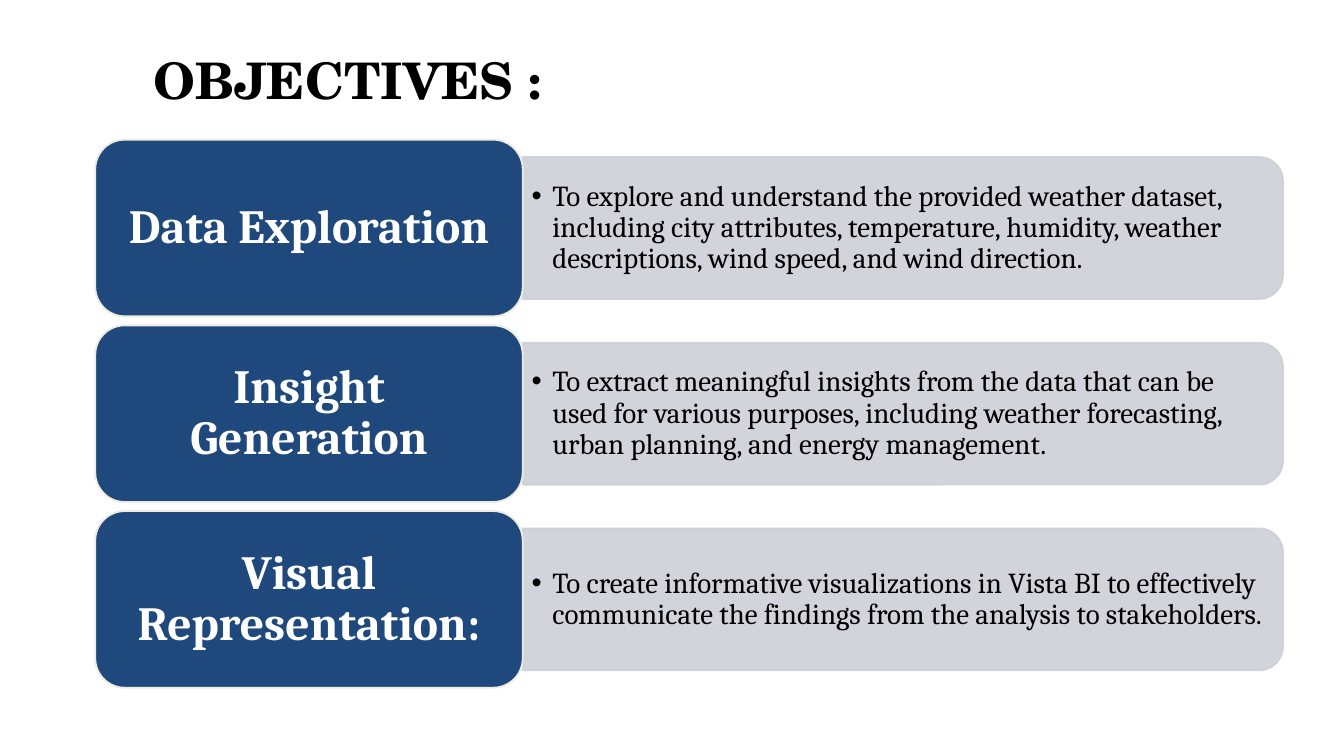
from dataclasses import dataclass

from lxml.etree import SubElement
from pptx import Presentation
from pptx.dml.color import RGBColor as RGB
from pptx.enum.shapes import MSO_SHAPE as Kind
from pptx.enum.text import MSO_ANCHOR as Anchor, MSO_AUTO_SIZE as Fit, PP_ALIGN as Align
from pptx.oxml.ns import qn
from pptx.util import Cm, Pt


@dataclass(frozen=True)
class Theme:
    """Colours, fonts and type sizes of the slide."""
    navy: RGB = RGB(0x1F, 0x49, 0x7D)
    cream: RGB = RGB(0xEE, 0xEC, 0xE1)
    grey: RGB = RGB(0xCD, 0xD0, 0xD7)
    white: RGB = RGB(0xFF, 0xFF, 0xFF)
    black: RGB = RGB(0, 0, 0)
    head: str = "TeX Gyre Schola"
    text: str = "Cambria"
    big: int = 54
    mid: int = 51
    small: int = 31


THEME = Theme()
LEFT, SPLIT, MID, PITCH = 3.6, 19.76, 8.62, 7.02
LABEL_H, PANEL_W, PANEL_H = 6.68, 28.73, 5.36
BODY_W, BODY_H = 28.45, 4.83
GOALS = (
    ("Data Exploration",
     "To explore and understand the provided weather dataset, including city attributes, "
     "temperature, humidity, weather descriptions, wind speed, and wind direction."),
    ("Insight Generation",
     "To extract meaningful insights from the data that can be used for various purposes, "
     "including weather forecasting, urban planning, and energy management."),
    ("Visual Representation:",
     "To create informative visualizations in Vista BI to effectively communicate the "
     "findings from the analysis to stakeholders."),
)


def place(shape, left, top, width, height):
    """Move and size a shape, in centimetres."""
    shape.left, shape.top = Cm(left), Cm(top)
    shape.width, shape.height = Cm(width), Cm(height)


def set_frame(shape, anchor, side, edge):
    """Set wrap, anchor and insets, and return the first paragraph."""
    frame = shape.text_frame
    frame.word_wrap, frame.auto_size = True, Fit.NONE
    frame.vertical_anchor = anchor
    frame.margin_left = frame.margin_right = Cm(side)
    frame.margin_top = frame.margin_bottom = Cm(edge)
    return frame.paragraphs[0]


def add_run(para, text, face, size, color, bold):
    """Add one formatted run."""
    run = para.add_run()
    run.text = text
    font = run.font
    font.name, font.size, font.bold = face, Pt(size), bold
    font.color.rgb = color


def add_block(slide, kind, box, fill, line):
    """Add a filled preset shape with an outline."""
    block = slide.shapes.add_shape(kind, *map(Cm, box))
    block.shadow.inherit = False
    block.fill.solid()
    block.fill.fore_color.rgb = fill
    block.line.color.rgb = line
    block.line.width = Pt(2)
    return block


def add_title(slide, text):
    """Fill the title placeholder."""
    title = slide.shapes.title
    place(title, 0.43, 0.53, 25.4, 3.35)
    para = set_frame(title, Anchor.TOP, 0.25, 0.13)
    para.alignment, para.line_spacing = Align.CENTER, Pt(99)
    add_run(para, text, THEME.head, THEME.big, THEME.black, True)


def add_panel(slide, mid):
    """Add the pale panel, turned so that its round corners face right."""
    left = SPLIT + (PANEL_W - PANEL_H) / 2
    box = (left, mid - PANEL_W / 2, PANEL_H, PANEL_W)
    panel = add_block(slide, Kind.ROUND_2_SAME_RECTANGLE, box, THEME.grey, THEME.grey)
    panel.rotation = 90
    for tint in panel.element.spPr.iter(qn("a:srgbClr")):
        SubElement(tint, qn("a:alpha"), val="90000")
    return panel


def fill_body(body, panel, mid, text):
    """Set a bulleted body placeholder on top of its panel."""
    panel.element.addnext(body.element)
    place(body, SPLIT, mid - BODY_H / 2, BODY_W, BODY_H)
    para = set_frame(body, Anchor.MIDDLE, 0.33, 0.16)
    props = para._p.get_or_add_pPr()
    props.set("marL", str(Cm(0.79)))
    props.set("indent", str(Cm(-0.79)))
    SubElement(props, qn("a:buFont"), typeface="Arial")
    SubElement(props, qn("a:buChar"), char="•")
    para.alignment, para.line_spacing, para.space_before = Align.LEFT, 0.9, Pt(0)
    add_run(para, text, THEME.text, THEME.small, THEME.black, False)


def add_label(slide, mid, text):
    """Add the navy label at the left of a row."""
    box = (LEFT, mid - LABEL_H / 2, SPLIT - LEFT, LABEL_H)
    label = add_block(slide, Kind.ROUNDED_RECTANGLE, box, THEME.navy, THEME.cream)
    para = set_frame(label, Anchor.MIDDLE, 0.53, 0.28)
    para.alignment, para.line_spacing = Align.CENTER, 0.9
    add_run(para, text, THEME.text, THEME.mid, THEME.white, True)


def main():
    """Build and save the slide."""
    deck = Presentation()
    deck.slide_width, deck.slide_height = Cm(50.8), Cm(28.58)
    slide = deck.slides.add_slide(deck.slide_layouts.get_by_name("Comparison"))
    add_title(slide, "OBJECTIVES :")
    title, *bodies, spare = slide.placeholders
    spare.element.getparent().remove(spare.element)
    for row, (body, (name, goal)) in enumerate(zip(bodies, GOALS)):
        mid = MID + row * PITCH
        fill_body(body, add_panel(slide, mid), mid, goal)
        add_label(slide, mid, name)
    deck.save("out.pptx")


if __name__ == "__main__":
    main()
